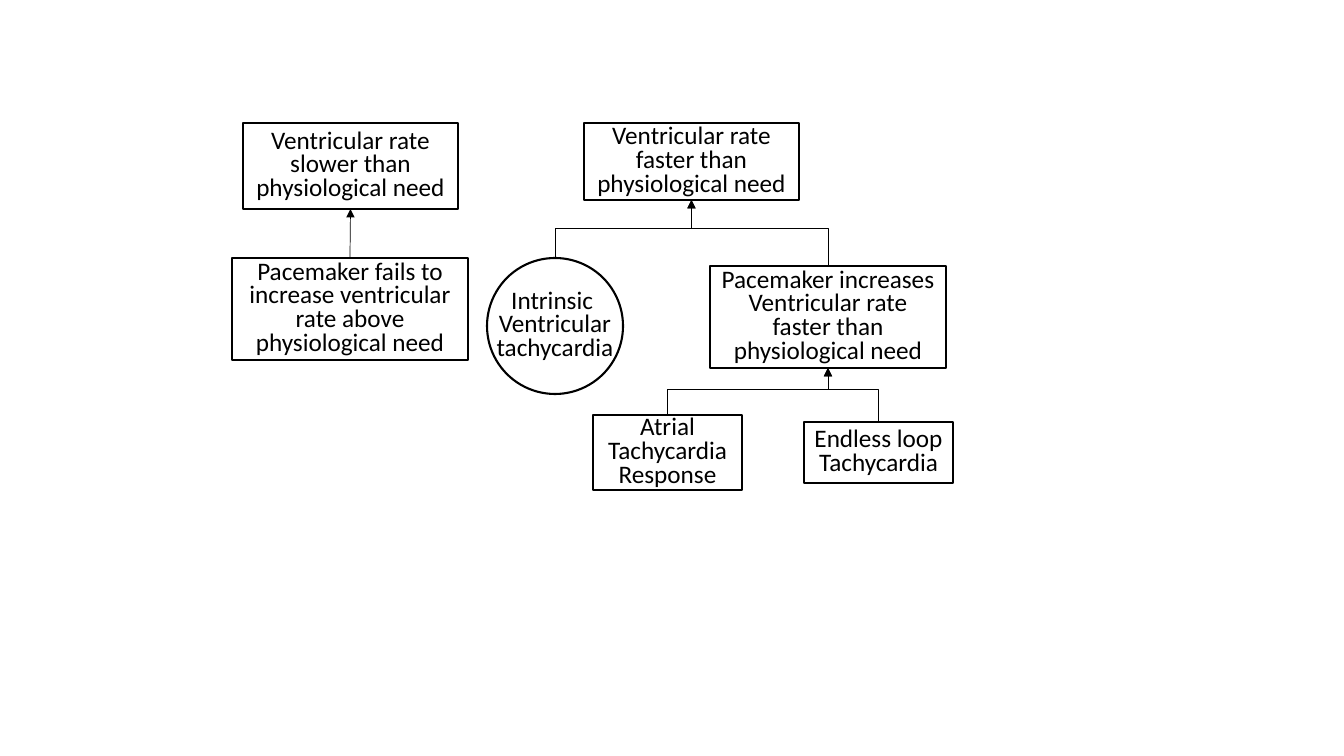
from dataclasses import dataclass

from lxml.etree import SubElement
from pptx import Presentation
from pptx.dml.color import RGBColor
from pptx.enum.shapes import MSO_CONNECTOR, MSO_SHAPE
from pptx.enum.text import MSO_ANCHOR, PP_ALIGN
from pptx.oxml.ns import qn
from pptx.util import Pt

EMU_PER_PIXEL = 914400 / 100.8
TOP_SITE, BOTTOM_SITE = 0, 2


def px(length):
    return round(length * EMU_PER_PIXEL)


def apply(target, formats):
    for key, value in formats.items():
        setattr(target, key, value)


@dataclass(frozen=True)
class Theme:
    ink: RGBColor = RGBColor(0, 0, 0)
    font: str = "Calibri"
    text_size: Pt = Pt(18)
    line_spacing: Pt = Pt(17)
    outline: Pt = Pt(1.5)
    arrow: Pt = Pt(0.5)


class FaultTree:
    def __init__(self, slide, theme):
        self.slide = slide
        self.theme = theme

    def stroke(self, line, width):
        line.color.rgb = self.theme.ink
        line.width = width

    def event(self, text, left, top, width, height, kind=MSO_SHAPE.RECTANGLE, wrap=True):
        event = self.slide.shapes.add_shape(kind, *map(px, (left, top, width, height)))
        event.shadow.inherit = False
        event.fill.background()
        self.stroke(event.line, self.theme.outline)
        frame = event.text_frame
        frame.text = text
        apply(frame, {"word_wrap": wrap, "vertical_anchor": MSO_ANCHOR.MIDDLE})
        for paragraph in frame.paragraphs:
            apply(paragraph, {"alignment": PP_ALIGN.CENTER,
                              "line_spacing": self.theme.line_spacing})
            apply(paragraph.font, {"name": self.theme.font, "size": self.theme.text_size})
            paragraph.font.color.rgb = self.theme.ink
        return event

    def arrow(self, cause, effect, kind=MSO_CONNECTOR.STRAIGHT):
        arrow = self.slide.shapes.add_connector(kind, 0, 0, 0, 0)
        arrow.begin_connect(cause, TOP_SITE)
        arrow.end_connect(effect, BOTTOM_SITE)
        self.stroke(arrow.line, self.theme.arrow)
        SubElement(arrow.line._get_or_add_ln(), qn("a:tailEnd"), type="triangle")
        SubElement(arrow._element.spPr, qn("a:effectLst"))
        return arrow

    def branch(self, cause, effect, bar):
        branch = self.arrow(cause, effect, MSO_CONNECTOR.ELBOW)
        start_x, start_y = branch.begin_x, branch.begin_y
        end_x, end_y = branch.end_x, branch.end_y
        rise, run = start_y - end_y, abs(end_x - start_x)
        apply(branch, {"left": (start_x + end_x - rise) // 2,
                       "top": (start_y + end_y - run) // 2,
                       "width": rise, "height": run})
        from_left = start_x < end_x
        frame = branch._element.spPr.find(qn("a:xfrm"))
        apply(frame, {"rot": 90.0 if from_left else 270.0,
                      "flipH": from_left, "flipV": True})
        geometry = branch._element.spPr.find(qn("a:prstGeom"))
        adjustments = geometry.find(qn("a:avLst"))
        if adjustments is None:
            adjustments = SubElement(geometry, qn("a:avLst"))
        share = round((start_y - px(bar)) / rise * 100000)
        SubElement(adjustments, qn("a:gd"), name="adj1", fmla=f"val {share}")


presentation = Presentation()
apply(presentation, {"slide_width": px(1344), "slide_height": px(756)})
slide = presentation.slides.add_slide(presentation.slide_layouts[6])
tree = FaultTree(slide, Theme())

slower = tree.event("Ventricular rate slower than physiological need", 243, 123, 215, 86)
fails = tree.event("Pacemaker fails to increase ventricular rate above physiological need",
                   232, 258, 236, 102)
faster = tree.event("Ventricular rate faster than physiological need", 584, 123, 215, 77)
intrinsic = tree.event("Intrinsic \nVentricular\ntachycardia", 487, 258, 136, 136,
                       MSO_SHAPE.OVAL, wrap=False)
increases = tree.event("Pacemaker increases Ventricular rate faster than physiological need",
                       710, 266, 236, 102)
atrial = tree.event("Atrial Tachycardia Response", 593, 415, 149, 75)
endless = tree.event("Endless loop\nTachycardia", 804, 422, 149, 61)

tree.arrow(fails, slower)
for effect, bar, causes in ((faster, 228, (intrinsic, increases)),
                            (increases, 389, (atrial, endless))):
    for cause in causes:
        tree.branch(cause, effect, bar)

presentation.save("out.pptx")
